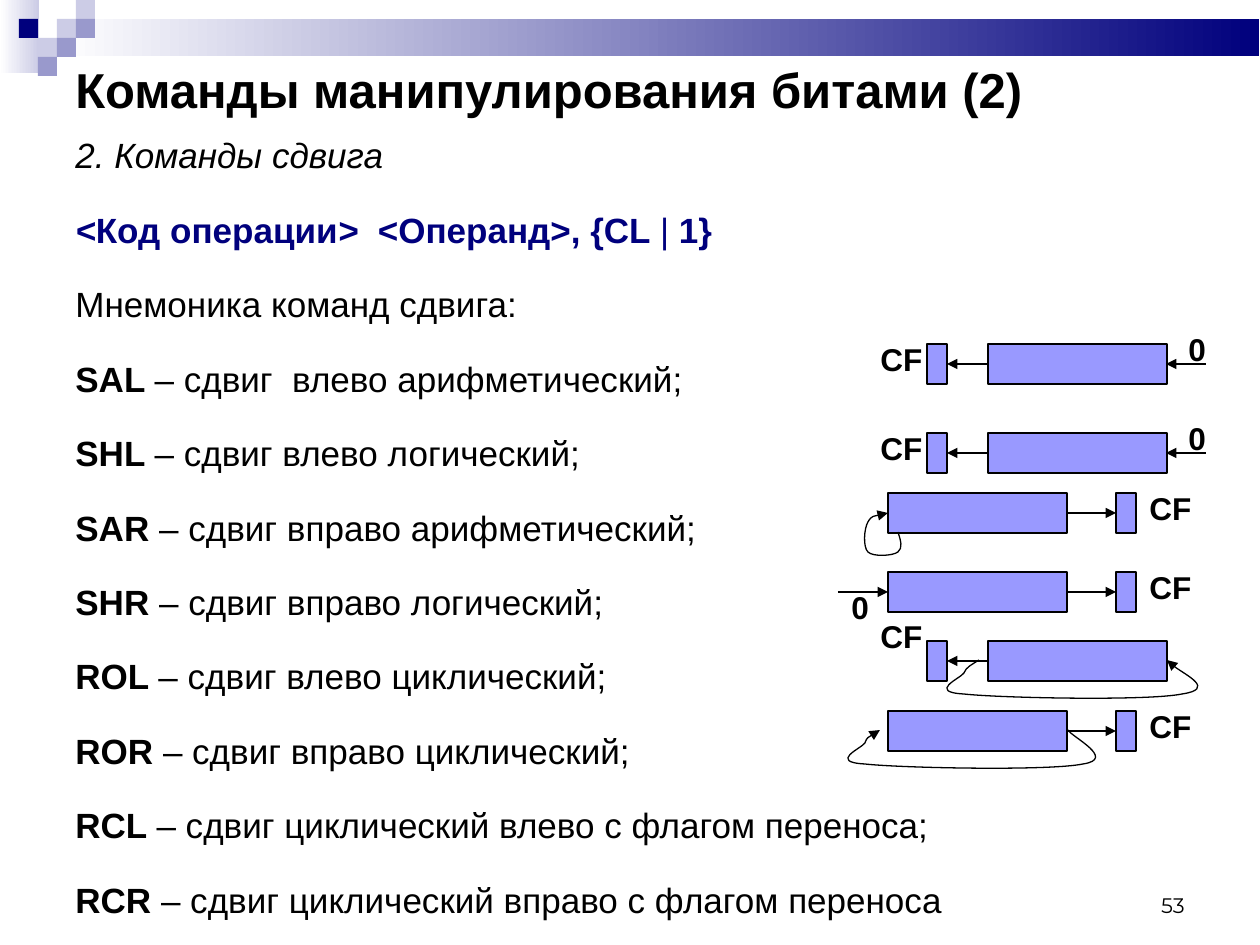
from dataclasses import dataclass
from typing import NamedTuple

from lxml import etree
from pptx import Presentation
from pptx.dml.color import RGBColor
from pptx.enum.shapes import MSO_CONNECTOR, MSO_SHAPE
from pptx.enum.text import MSO_ANCHOR, MSO_AUTO_SIZE, PP_ALIGN
from pptx.oxml.ns import qn
from pptx.util import Emu, Pt

RECTANGLE = MSO_SHAPE.RECTANGLE
STRAIGHT = MSO_CONNECTOR.STRAIGHT
TOP, MIDDLE, BOTTOM = MSO_ANCHOR.TOP, MSO_ANCHOR.MIDDLE, MSO_ANCHOR.BOTTOM
LEFT, RIGHT = PP_ALIGN.LEFT, PP_ALIGN.RIGHT
FIT_SHAPE = MSO_AUTO_SIZE.SHAPE_TO_FIT_TEXT

BLACK = RGBColor(0x00, 0x00, 0x00)
WHITE = RGBColor(0xFF, 0xFF, 0xFF)
NAVY = RGBColor(0x00, 0x00, 0x7D)
PALE = RGBColor(0xCC, 0xCC, 0xE6)
LILAC = RGBColor(0x99, 0x99, 0xCC)
REGISTER_BLUE = RGBColor(0x99, 0x99, 0xFF)

EMU_PER_PX = 914400 / 126
CELL = 19
REGISTER_WIDTH, FLAG_WIDTH, BIT_HEIGHT = 179, 20, 40


class Box(NamedTuple):
    x: int
    y: int
    width: int
    height: int


class Point(NamedTuple):
    x: int
    y: int


class Piece(NamedTuple):
    text: str
    bold: bool = False
    italic: bool = False


@dataclass(frozen=True)
class Direction:
    register_x: int
    flag_x: int
    flag_label_x: int
    output: tuple[int, int]
    zero_input: tuple[int, int]
    zero_x: int
    zero_offset: int


@dataclass(frozen=True)
class Shift:
    y: int
    direction: Direction
    label_offset: int = -10
    zero_fill: bool = False


TO_LEFT = Direction(988, 927, 868, (988, 947), (1206, 1166), 1176, -20)
TO_RIGHT = Direction(888, 1116, 1137, (1067, 1116), (838, 888), 839, 10)
SHIFTS = [
    Shift(344, TO_LEFT, zero_fill=True),
    Shift(433, TO_LEFT, zero_fill=True),
    Shift(493, TO_RIGHT),
    Shift(572, TO_RIGHT, zero_fill=True),
    Shift(641, TO_LEFT, label_offset=-30),
    Shift(711, TO_RIGHT),
]
SIGN_LOOP = [
    Point(898, 532), Point(901, 541), Point(903, 548), Point(898, 552),
    Point(893, 556), Point(873, 557), Point(868, 552), Point(863, 547),
    Point(864, 529), Point(868, 522), Point(872, 515), Point(885, 514), Point(888, 513),
]
ROTATE_LEFT_LOOP = [
    Point(979, 660), Point(973, 664), Point(966, 667), Point(964, 673),
    Point(961, 678), Point(927, 692), Point(964, 694), Point(1000, 698),
    Point(1148, 701), Point(1182, 694), Point(1216, 689), Point(1171, 667), Point(1167, 660),
]
ROTATE_RIGHT_LOOP = [Point(x - 99, y + 70) for x, y in ROTATE_LEFT_LOOP]

CORNER_CELLS = [
    (3, 1, PALE), (4, 0, PALE), (4, 1, LILAC), (2, 2, PALE),
    (1, 1, NAVY), (3, 2, LILAC), (2, 3, LILAC),
]
MNEMONICS = {
    "SAL": "сдвиг  влево арифметический;",
    "SHL": "сдвиг влево логический;",
    "SAR": "сдвиг вправо арифметический;",
    "SHR": "сдвиг вправо логический;",
    "ROL": "сдвиг влево циклический;",
    "ROR": "сдвиг вправо циклический;",
    "RCL": "сдвиг циклический влево с флагом переноса;",
    "RCR": "сдвиг циклический вправо с флагом переноса",
}
SYNTAX = [
    Piece("<", True, True), Piece("Код операции", True), Piece(">", True, True),
    Piece("  <Операнд>, {СL ", True), Piece("|"), Piece(" 1}", True),
]
BODY = [
    ([Piece("2. Команды сдвига", italic=True)], BLACK),
    (SYNTAX, NAVY),
    ([Piece("Мнемоника команд сдвига:")], BLACK),
    *(([Piece(f"{code} ", True), Piece(f"– {meaning}")], BLACK)
      for code, meaning in MNEMONICS.items()),
]


def px(length: float) -> Emu:
    return Emu(round(length * EMU_PER_PX))


def add_rectangle(slide, box: Box):
    rectangle = slide.shapes.add_shape(RECTANGLE, *map(px, box))
    rectangle.shadow.inherit = False
    rectangle.line.fill.background()
    return rectangle


def add_solid(slide, box: Box, color: RGBColor):
    solid = add_rectangle(slide, box)
    solid.fill.solid()
    solid.fill.fore_color.rgb = color
    return solid


def add_gradient(slide, box: Box, end: RGBColor) -> None:
    fill = add_rectangle(slide, box).fill
    fill.gradient()
    fill.gradient_angle = 0
    for stop, color in zip(fill.gradient_stops, (WHITE, end)):
        stop.color.rgb = color


def outline(line) -> None:
    line.color.rgb = BLACK
    line.width = Pt(0.75)


def add_arrowhead(line, end: str) -> None:
    etree.SubElement(line._get_or_add_ln(), qn(f"a:{end}"), type="triangle")


def add_bits(slide, box: Box) -> None:
    outline(add_solid(slide, box, REGISTER_BLUE).line)


def add_arrow(slide, start_x: int, end_x: int, y: int) -> None:
    arrow = slide.shapes.add_connector(STRAIGHT, px(start_x), px(y), px(end_x), px(y))
    outline(arrow.line)
    add_arrowhead(arrow.line, "tailEnd")
    etree.SubElement(arrow._element.spPr, qn("a:effectLst"))


def add_loop(slide, points: list[Point], arrow_end: str) -> None:
    start, *controls = [(px(x), px(y)) for x, y in points]
    builder = slide.shapes.build_freeform(*start, scale=1.0)
    builder.add_line_segments(controls, close=False)
    loop = builder.convert_to_shape()
    segments = list(loop._element.iter(qn("a:lnTo")))
    route = segments[0].getparent()
    for first in range(0, len(segments), 3):
        curve = etree.SubElement(route, qn("a:cubicBezTo"))
        for segment in segments[first:first + 3]:
            curve.append(segment[0])
            route.remove(segment)
    loop.shadow.inherit = False
    loop.fill.background()
    outline(loop.line)
    add_arrowhead(loop.line, arrow_end)


def set_font(font, size: int, color: RGBColor, name: str = "Arial") -> None:
    font.name, font.size = name, Pt(size)
    font.color.rgb = color


def add_text(slide, box: Box, text: str, size: int, bold: bool = True, name: str = "Arial",
             anchor=TOP, align=LEFT, wrap: bool = True) -> None:
    frame = slide.shapes.add_textbox(*map(px, box)).text_frame
    frame.word_wrap = wrap
    frame.vertical_anchor = anchor
    if not wrap:
        frame.auto_size = FIT_SHAPE
    paragraph = frame.paragraphs[0]
    paragraph.text = text
    paragraph.alignment = align
    set_font(paragraph.font, size, BLACK, name)
    paragraph.font.bold = bold


def add_body(slide) -> None:
    frame = slide.shapes.add_textbox(*map(px, Box(63, 125, 1134, 784))).text_frame
    frame.word_wrap = True
    frame.margin_top = px(9)
    for index, (pieces, color) in enumerate(BODY):
        paragraph = frame.add_paragraph() if index else frame.paragraphs[0]
        properties = paragraph._p.get_or_add_pPr()
        properties.set("marL", str(px(83)))
        properties.set("indent", str(-px(83)))
        if index:
            paragraph.space_before = Pt(18.5)
        set_font(paragraph.font, 20, color)
        for piece in pieces:
            run = paragraph.add_run()
            run.text = piece.text
            run.font.bold, run.font.italic = piece.bold, piece.italic


def add_shift(slide, shift: Shift) -> None:
    way, y = shift.direction, shift.y
    add_bits(slide, Box(way.register_x, y, REGISTER_WIDTH, BIT_HEIGHT))
    add_bits(slide, Box(way.flag_x, y, FLAG_WIDTH, BIT_HEIGHT))
    add_text(slide, Box(way.flag_label_x, y + shift.label_offset, 67, 50), "CF", 18, wrap=False)
    add_arrow(slide, *way.output, y + BIT_HEIGHT // 2)
    if shift.zero_fill:
        add_text(slide, Box(way.zero_x, y + way.zero_offset, 43, 50), "0", 18, wrap=False)
        add_arrow(slide, *way.zero_input, y + BIT_HEIGHT // 2)


def main() -> None:
    deck = Presentation()
    deck.slide_width, deck.slide_height = px(1260), px(945)
    slide = deck.slides.add_slide(deck.slide_layouts[6])
    add_gradient(slide, Box(0, 0, 39, 73), PALE)
    add_gradient(slide, Box(57, 19, 1202, 37), NAVY)
    for column, row, color in CORNER_CELLS:
        add_solid(slide, Box(column * CELL, row * CELL, CELL, CELL), color)
    add_text(slide, Box(903, 861, 294, 63), "53", 12, False, "Montserrat", BOTTOM, RIGHT)
    add_text(slide, Box(63, 53, 1134, 72), "Команды манипулирования битами (2)", 28, anchor=MIDDLE)
    add_body(slide)
    for shift in SHIFTS:
        add_shift(slide, shift)
    add_loop(slide, SIGN_LOOP, "tailEnd")
    add_loop(slide, ROTATE_LEFT_LOOP, "tailEnd")
    add_loop(slide, ROTATE_RIGHT_LOOP, "headEnd")
    deck.save("out.pptx")


if __name__ == "__main__":
    main()
